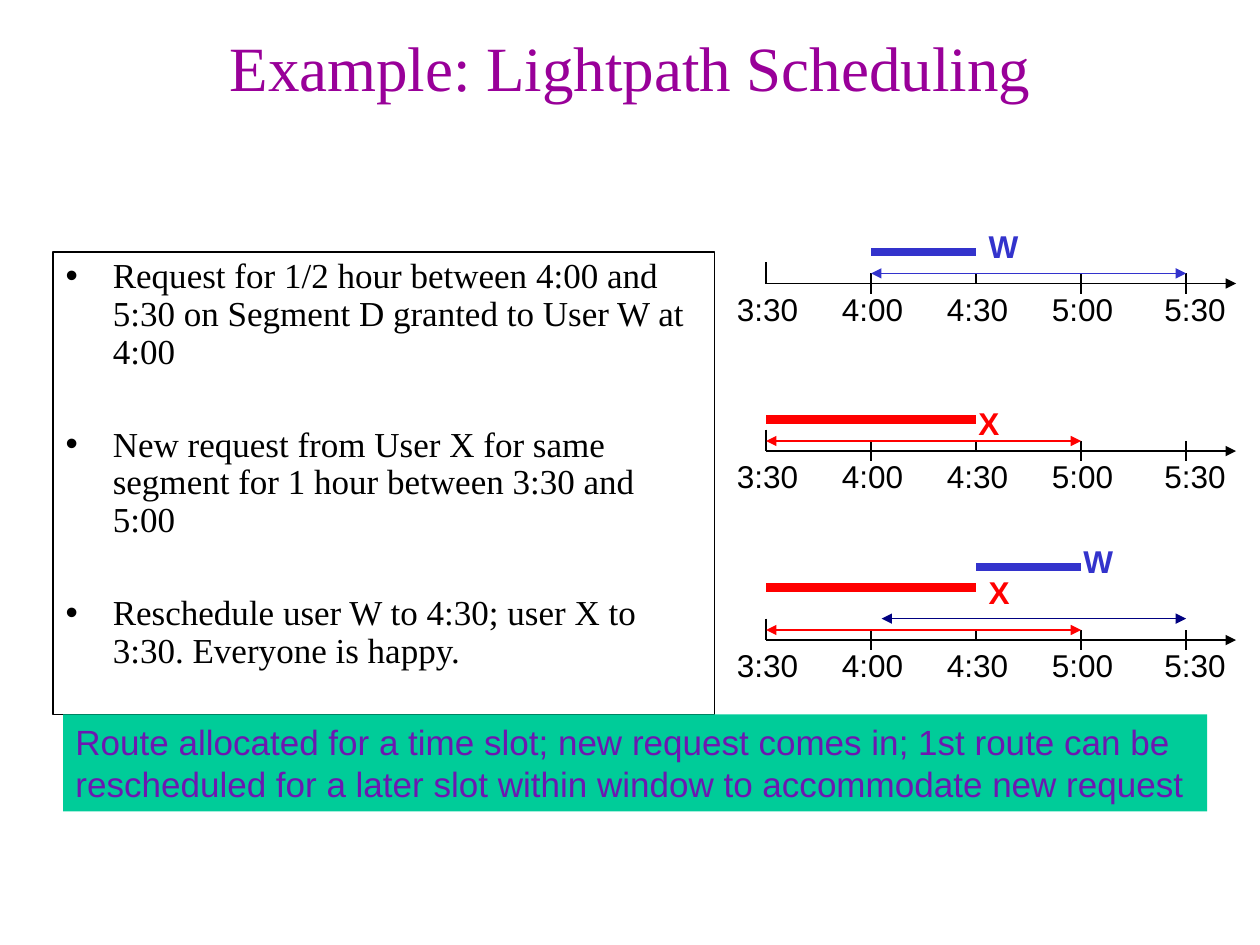
from lxml import etree
from pptx import Presentation
from pptx.dml.color import RGBColor
from pptx.enum.shapes import MSO_CONNECTOR, MSO_SHAPE
from pptx.enum.text import MSO_ANCHOR, MSO_AUTO_SIZE, PP_ALIGN
from pptx.oxml.ns import qn
from pptx.util import Inches, Pt

STRAIGHT = MSO_CONNECTOR.STRAIGHT
RECTANGLE = MSO_SHAPE.RECTANGLE
TOP = MSO_ANCHOR.TOP
NO_AUTOFIT = MSO_AUTO_SIZE.NONE
LEFT, CENTER = PP_ALIGN.LEFT, PP_ALIGN.CENTER

BLACK = RGBColor(0x00, 0x00, 0x00)
WHITE = RGBColor(0xFF, 0xFF, 0xFF)
BLUE = RGBColor(0x33, 0x33, 0xCC)
NAVY = RGBColor(0x00, 0x00, 0x80)
RED = RGBColor(0xFF, 0x00, 0x00)
PURPLE = RGBColor(0x99, 0x00, 0x99)
VIOLET = RGBColor(0x6C, 0x18, 0xB0)
GREEN = RGBColor(0x00, 0xCC, 0x99)

TITLE = "Example: Lightpath Scheduling "
STEPS = [
    "Request for 1/2 hour between 4:00 and 5:30 on Segment D granted to User W at 4:00",
    "New request from User X for same segment for 1 hour between 3:30 and 5:00",
    "Reschedule user W to 4:30; user X to 3:30. Everyone is happy.",
]
SUMMARY = ("Route allocated for a time slot; new request comes in; 1st route can be "
           "rescheduled for a later slot within window to accommodate new request")

# Each time: label, tick reach above and below the axis, label shift from the tick
TIMES = [
    ("3:30", 0.17, 0, -0.33),
    ("4:00", 0.08, 0.08, -0.33),
    ("4:30", 0.08, 0, -0.33),
    ("5:00", 0.08, 0.08, -0.33),
    ("5:30", 0.08, 0.08, -0.27),
]
# Bars and windows: first slot, last slot, height above the axis, colour
# Users: name, slot, shift from the slot, top above the axis, colour
TIMELINES = [
    {"axis": 2.25,
     "bars": [(1, 2, 0.25, BLUE)],
     "windows": [(1, 4, 0.08, BLUE)],
     "users": [("W", 2, 0, 0.5, BLUE)]},
    {"axis": 3.58,
     "bars": [(0, 2, 0.25, RED)],
     "windows": [(0, 3, 0.08, RED)],
     "users": [("X", 2, -0.08, 0.42, RED)]},
    {"axis": 5.08,
     "bars": [(0, 2, 0.42, RED), (2, 3, 0.58, BLUE)],
     "windows": [(0, 3, 0.08, RED), (1.1, 4, 0.17, NAVY)],
     "users": [("W", 3, -0.08, 0.83, BLUE), ("X", 2, 0, 0.58, RED)]},
]
AXIS_LEFT, AXIS_RIGHT = 6.08, 9.81
HALF_HOUR = 2.5 / 3
TIME_WIDTH, USER_WIDTH, LABEL_HEIGHT = 0.72, 0.45, 0.4
BULLET_INDENT = Pt(27)


def slot_x(slot):
    return AXIS_LEFT + slot * HALF_HOUR


def place(shape, left, top, width, height):
    for side, value in zip(("left", "top", "width", "height"), (left, top, width, height)):
        setattr(shape, side, Inches(value))


def set_font(paragraph, color, **values):
    for key, value in values.items():
        setattr(paragraph.font, key, value)
    paragraph.font.color.rgb = color


def add_line(shapes, start, end, color, weight=0.75, arrows=()):
    """Draw a line; arrows names the ends (headEnd, tailEnd) that carry a triangle."""
    line = shapes.add_connector(STRAIGHT, *map(Inches, start + end))
    line.line.color.rgb = color
    line.line.width = Pt(weight)
    outline = line.line._get_or_add_ln()
    for arrow in arrows:
        etree.SubElement(outline, qn(f"a:{arrow}"), type="triangle")
    etree.SubElement(line._element.spPr, qn("a:effectLst"))


def add_label(shapes, text, left, top, width, color, bold=False):
    label = shapes.add_textbox(*map(Inches, (left, top, width, LABEL_HEIGHT)))
    label.text_frame.word_wrap = True
    paragraph = label.text_frame.paragraphs[0]
    paragraph.text = text
    set_font(paragraph, color, name="Arial", size=Pt(18), bold=bold)


def add_timeline(slide, timeline):
    shapes = slide.shapes.add_group_shape().shapes
    y = timeline["axis"]
    add_line(shapes, (AXIS_LEFT, y), (AXIS_RIGHT, y), BLACK, arrows=["tailEnd"])
    for slot, (time, above, below, shift) in enumerate(TIMES):
        x = slot_x(slot)
        add_line(shapes, (x, y - above), (x, y + below), BLACK)
        add_label(shapes, time, x + shift, y, TIME_WIDTH, BLACK)
    for kind, weight, arrows in (("bars", 5, ()), ("windows", 0.75, ("headEnd", "tailEnd"))):
        for first, last, rise, color in timeline[kind]:
            add_line(shapes, (slot_x(first), y - rise), (slot_x(last), y - rise),
                     color, weight, arrows)
    for user, slot, shift, rise, color in timeline["users"]:
        add_label(shapes, user, slot_x(slot) + shift, y - rise, USER_WIDTH, color, bold=True)


def fill_title(title):
    place(title, 0.5, 0.18, 9.13, 0.82)
    title.text_frame.text = TITLE
    title.text_frame.auto_size = NO_AUTOFIT
    title.text_frame.vertical_anchor = TOP
    paragraph = title.text_frame.paragraphs[0]
    paragraph.alignment = CENTER
    set_font(paragraph, PURPLE, name="Times New Roman", size=Pt(36))


def fill_steps(body):
    place(body, 0.42, 2, 5.25, 3.67)
    body.fill.solid()
    body.fill.fore_color.rgb = WHITE
    body.line.color.rgb = BLACK
    body.line.width = Pt(0.75)
    frame = body.text_frame
    frame.auto_size = NO_AUTOFIT
    frame.vertical_anchor = TOP
    frame.text = "\n".join(STEPS)
    for number, paragraph in enumerate(frame.paragraphs):
        properties = paragraph._p.get_or_add_pPr()
        properties.set("marL", str(BULLET_INDENT))
        properties.set("indent", str(-BULLET_INDENT))
        etree.SubElement(properties, qn("a:buChar"), char="•")
        paragraph.line_spacing = 0.9
        paragraph.space_before = Pt(31.5 if number else 0)
        set_font(paragraph, BLACK, name="Times New Roman", size=Pt(20))


def add_summary(slide):
    banner = slide.shapes.add_shape(RECTANGLE, *map(Inches, (0.5, 5.67, 9.08, 0.77)))
    banner.shadow.inherit = False
    banner.fill.solid()
    banner.fill.fore_color.rgb = GREEN
    banner.line.fill.background()
    banner.text_frame.word_wrap = True
    banner.text_frame.vertical_anchor = TOP
    paragraph = banner.text_frame.paragraphs[0]
    paragraph.text = SUMMARY
    paragraph.alignment = LEFT
    set_font(paragraph, VIOLET, name="Arial", size=Pt(20))


def main():
    presentation = Presentation()
    presentation.slide_width = Inches(10)
    presentation.slide_height = Inches(7.5)
    slide = presentation.slides.add_slide(presentation.slide_layouts[1])
    fill_title(slide.shapes.title)
    fill_steps(slide.placeholders[1])
    add_summary(slide)
    for timeline in TIMELINES:
        add_timeline(slide, timeline)
    presentation.save("out.pptx")


if __name__ == "__main__":
    main()
